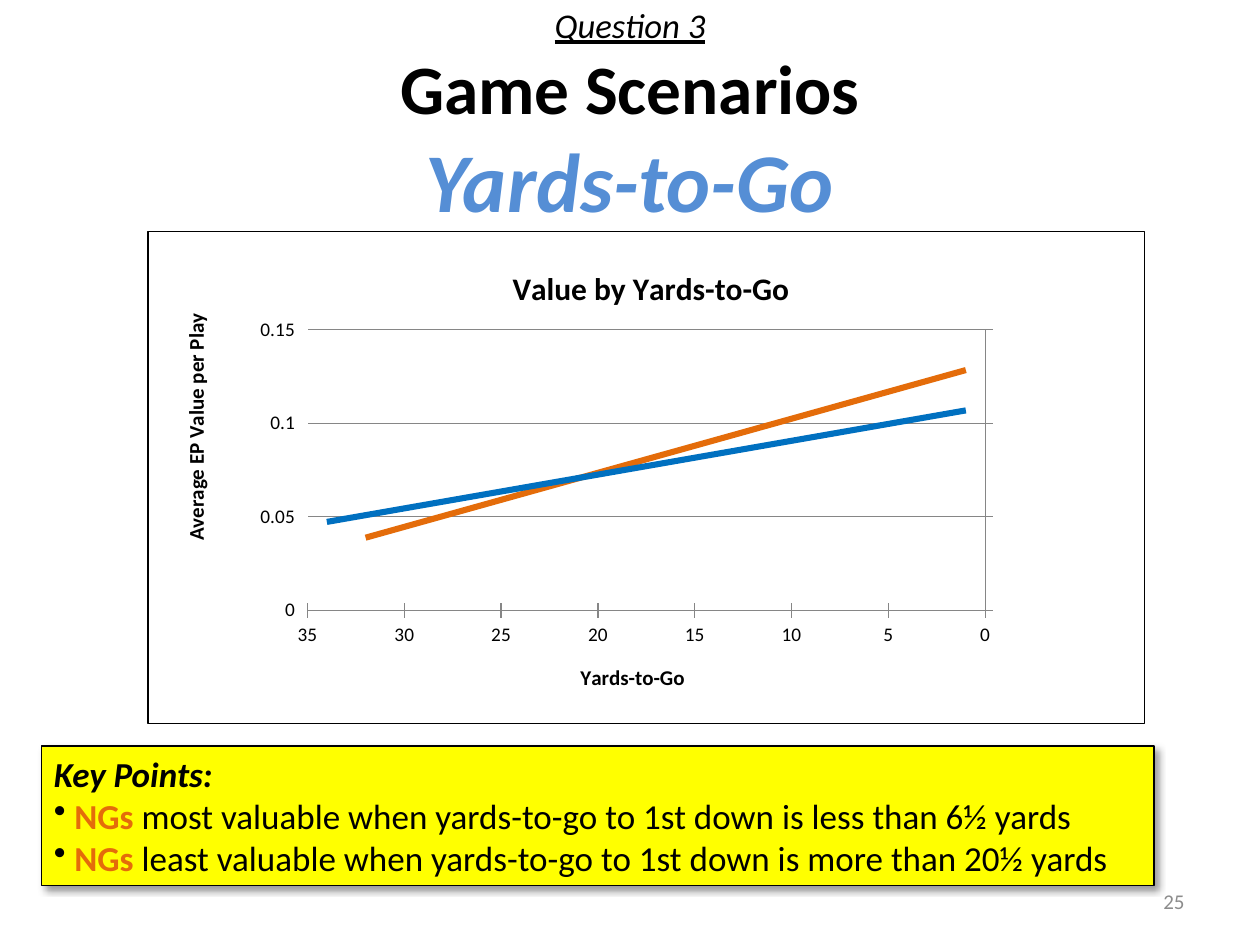
from copy import deepcopy

from lxml import etree
from pptx import Presentation
from pptx.chart.data import XyChartData
from pptx.dml.color import RGBColor
from pptx.enum.chart import XL_CHART_TYPE, XL_MARKER_STYLE, XL_TICK_LABEL_POSITION, XL_TICK_MARK
from pptx.enum.shapes import MSO_SHAPE
from pptx.enum.text import MSO_ANCHOR, MSO_AUTO_SIZE, PP_ALIGN
from pptx.oxml import parse_xml
from pptx.oxml.ns import nsdecls, qn
from pptx.util import Inches, Pt

SCATTER = XL_CHART_TYPE.XY_SCATTER
NO_MARKER = XL_MARKER_STYLE.NONE
LABELS_HIGH = XL_TICK_LABEL_POSITION.HIGH
LABELS_NEXT = XL_TICK_LABEL_POSITION.NEXT_TO_AXIS
CROSS = XL_TICK_MARK.CROSS
MIDDLE, TOP = MSO_ANCHOR.MIDDLE, MSO_ANCHOR.TOP
CENTER, LEFT, RIGHT = PP_ALIGN.CENTER, PP_ALIGN.LEFT, PP_ALIGN.RIGHT

FONT = "Calibri"
BLACK = RGBColor(0x00, 0x00, 0x00)
WHITE = RGBColor(0xFF, 0xFF, 0xFF)
GRAY = RGBColor(0x8C, 0x8C, 0x8C)
AXIS_GRAY = RGBColor(0x86, 0x86, 0x86)
YELLOW = RGBColor(0xFF, 0xFF, 0x00)
SKY = RGBColor(0x55, 0x8E, 0xD5)
BLUE = RGBColor(0x00, 0x70, 0xC0)
ORANGE = RGBColor(0xE4, 0x6C, 0x0A)

SERIES = [
    ("Series 1", None, [*range(1, 27), *range(28, 33), 34],
     [0.059, 0.103, 0.117, 0.109, 0.138, 0.116, 0.131, 0.132, 0.159, 0.089, 0.092,
      0.125, 0.108, 0.102, 0.09, 0.193, 0.141, 0.154, 0.106, 0.091, 0, 0.027, 0.022,
      0.131, 0.143, 0.072, 0.192, 0, 0, 0, 0, 0.321]),
    ("Series 2", BLUE, [*range(1, 33), 34],
     [0.09, 0.129, 0.12, 0.081, 0.078, 0.087, 0.086, 0.088, 0.036, 0.083, 0.085,
      0.085, 0.078, 0.115, 0.09, 0.137, 0.128, 0.04, 0.046, 0.056, 0.037, 0.044,
      0.041, 0.099, 0.302, 0.119, 0, 0.24, 0, 0, -0.049, 0, 0]),
    ("Series 3", ORANGE, [*range(1, 29), 32],
     [0.027, 0.072, 0.078, 0.047, 0.063, 0.124, 0.063, 0.111, 0.103, 0.101, 0.274,
      0.241, 0.144, 0.115, 0.06, 0.131, 0.12, 0.293, 0.104, 0.072, 0.235, 0.032,
      -0.145, 0, 0.077, 0, 0, 0, 0]),
]
KEY_POINTS = [
    " most valuable when yards-to-go to 1st down is less than 6½ yards",
    " least valuable when yards-to-go to 1st down is more than 20½ yards",
]


def style(font, size, color=BLACK, bold=False, italic=False):
    """Set the face, size, colour and weight of a font."""
    font.name, font.size, font.bold, font.italic = FONT, Pt(size), bold, italic
    font.color.rgb = color


def place(shape, box):
    """Move a shape to a (left, top, width, height) box."""
    shape.left, shape.top, shape.width, shape.height = box


def add_heading(page, box):
    """Fill the title placeholder with its three lines."""
    title = page.shapes.title
    place(title, box)
    frame = title.text_frame
    frame.auto_size = MSO_AUTO_SIZE.NONE
    frame.vertical_anchor = MIDDLE
    para = frame.paragraphs[0]
    para.text = "Question 3\vGame Scenarios\vYards-to-Go"
    para.alignment = CENTER
    para.space_after = Pt(12)
    question, topic, focus = para.runs
    style(question.font, 19.8, italic=True)
    question.font.underline = True
    style(topic.font, 39.6, bold=True)
    style(focus.font, 47.7, SKY, bold=True, italic=True)
    for span in (question, topic):
        span._r.getnext().append(deepcopy(span._r.rPr))


def set_layout(parent, index, left, top, width=None, height=None):
    """Give a chart part a manual layout in fractions of the chart."""
    for old in parent.findall(qn("c:layout")):
        parent.remove(old)
    values = {"xMode": "edge", "yMode": "edge", "x": left, "y": top}
    if width:
        values = {"layoutTarget": "inner", **values, "w": width, "h": height}
    layout = etree.Element(qn("c:layout"))
    manual = etree.SubElement(layout, qn("c:manualLayout"))
    for name, value in values.items():
        etree.SubElement(manual, qn(f"c:{name}")).set("val", str(value))
    parent.insert(index, layout)


def set_title(title, text, size, left, top):
    """Write and place a chart or axis title."""
    title.text_frame.text = text
    style(title.text_frame.paragraphs[0].runs[0].font, size, bold=True)
    set_layout(title._element, 1, left, top)


def format_axis(axis, maximum, step, labels):
    """Set the scale, ticks, labels and line of an axis."""
    axis.minimum_scale, axis.maximum_scale, axis.major_unit = 0, maximum, step
    axis.major_tick_mark = CROSS
    axis.tick_label_position = labels
    axis.tick_labels.number_format = "General"
    axis.tick_labels.number_format_is_linked = False
    style(axis.tick_labels.font, 11)
    axis.format.line.color.rgb = AXIS_GRAY


def add_trend(series, color):
    """Add a linear trend line to a series."""
    series._element.find(qn("c:xVal")).addprevious(parse_xml(
        f'<c:trendline {nsdecls("c", "a")}><c:spPr><a:ln w="{Pt(3.5)}"><a:solidFill>'
        f'<a:srgbClr val="{color}"/></a:solidFill></a:ln></c:spPr>'
        '<c:trendlineType val="linear"/><c:dispRSqr val="0"/><c:dispEq val="0"/>'
        '</c:trendline>'))


def add_value_chart(page, box):
    """Add the scatter chart that shows only its trend lines."""
    data = XyChartData()
    for name, _, yards, values in SERIES:
        series = data.add_series(name)
        for point in zip(yards, values):
            series.add_data_point(*point)
    chart = page.shapes.add_chart(SCATTER, *box, data).chart
    style(chart.font, 10)
    chart.has_legend = False
    chart.has_title = True
    set_title(chart.chart_title, "Value by Yards-to-Go", 18, 0.36, 0.06)
    plot = chart.plots[0]
    plot.vary_by_categories = False
    for series, (_, color, _, _) in zip(plot.series, SERIES):
        series.smooth = False
        series.marker.style = NO_MARKER
        series.format.line.fill.background()
        if color:
            add_trend(series, color)

    yards_axis, value_axis = chart.category_axis, chart.value_axis
    format_axis(yards_axis, 35, 5, LABELS_NEXT)
    yards_axis.reverse_order = True
    yards_axis.has_major_gridlines = False
    set_title(yards_axis.axis_title, "Yards-to-Go", 12, 0.43, 0.87)
    format_axis(value_axis, 0.15, 0.05, LABELS_HIGH)
    value_axis.has_major_gridlines = True
    value_axis.major_gridlines.format.line.color.rgb = AXIS_GRAY
    set_title(value_axis.axis_title, "Average EP Value per Play", 12, 0.03, 0.16)
    body = value_axis.axis_title.text_frame._txBody.bodyPr
    body.set("rot", "-5400000")
    body.set("vert", "horz")

    space = chart._chartSpace
    set_layout(space.chart.plotArea, 0, 0.16, 0.2, 0.68, 0.57)
    space.chart.addnext(parse_xml(
        f'<c:spPr {nsdecls("c", "a")}><a:solidFill><a:srgbClr val="{WHITE}"/></a:solidFill>'
        f'<a:ln w="{Pt(0.75)}"><a:solidFill><a:srgbClr val="{BLACK}"/></a:solidFill></a:ln>'
        '</c:spPr>'))


def add_key_points(page, box):
    """Add the yellow box with its heading and bullets."""
    panel = page.shapes.add_shape(MSO_SHAPE.RECTANGLE, *box)
    panel.fill.solid()
    panel.fill.fore_color.rgb = YELLOW
    panel.line.color.rgb = BLACK
    panel.line.width = Pt(0.75)
    panel._element.spPr.append(parse_xml(
        f'<a:effectLst {nsdecls("a")}><a:outerShdw blurRad="{Pt(4)}" dist="{Pt(3)}" '
        f'dir="2700000" algn="tl" rotWithShape="0"><a:srgbClr val="{BLACK}">'
        '<a:alpha val="40000"/></a:srgbClr></a:outerShdw></a:effectLst>'))
    frame = panel.text_frame
    frame.word_wrap = True
    frame.auto_size = MSO_AUTO_SIZE.SHAPE_TO_FIT_TEXT
    frame.vertical_anchor = TOP
    para = frame.paragraphs[0]
    para.text = "Key Points:"
    para.alignment = LEFT
    style(para.runs[0].font, 20, bold=True, italic=True)
    for index, point in enumerate(KEY_POINTS):
        para = frame.add_paragraph()
        para.alignment = LEFT
        bullet = etree.SubElement(para._p.get_or_add_pPr(), qn("a:buChar"))
        bullet.set("char", "•")
        for text, color, bold in ((" ", BLACK, False), ("NGs", ORANGE, True), (point, BLACK, False)):
            span = para.add_run()
            span.text = text
            style(span.font, 20, color, bold, italic=text == " ")


def add_page_number(page, box):
    """Add the slide number at the lower right."""
    frame = page.shapes.add_textbox(*box).text_frame
    frame.word_wrap = True
    frame.vertical_anchor = MIDDLE
    para = frame.paragraphs[0]
    para.text = "25"
    para.alignment = RIGHT
    style(para.runs[0].font, 12, GRAY)


def main():
    """Build the slide and save the deck."""
    deck = Presentation()
    deck.slide_width, deck.slide_height = Inches(10), Inches(7.5)
    page = deck.slides.add_slide(deck.slide_layouts[5])
    add_page_number(page, [Inches(n) for n in (7.17, 6.95, 2.33, 0.4)])
    add_heading(page, [Inches(n) for n in (0.5, 0.3, 9, 1.25)])
    add_key_points(page, [Inches(n) for n in (0.33, 5.92, 8.83, 1.11)])
    add_value_chart(page, [Inches(n) for n in (1.17, 1.83, 7.92, 3.92)])
    deck.save("out.pptx")


if __name__ == "__main__":
    main()
